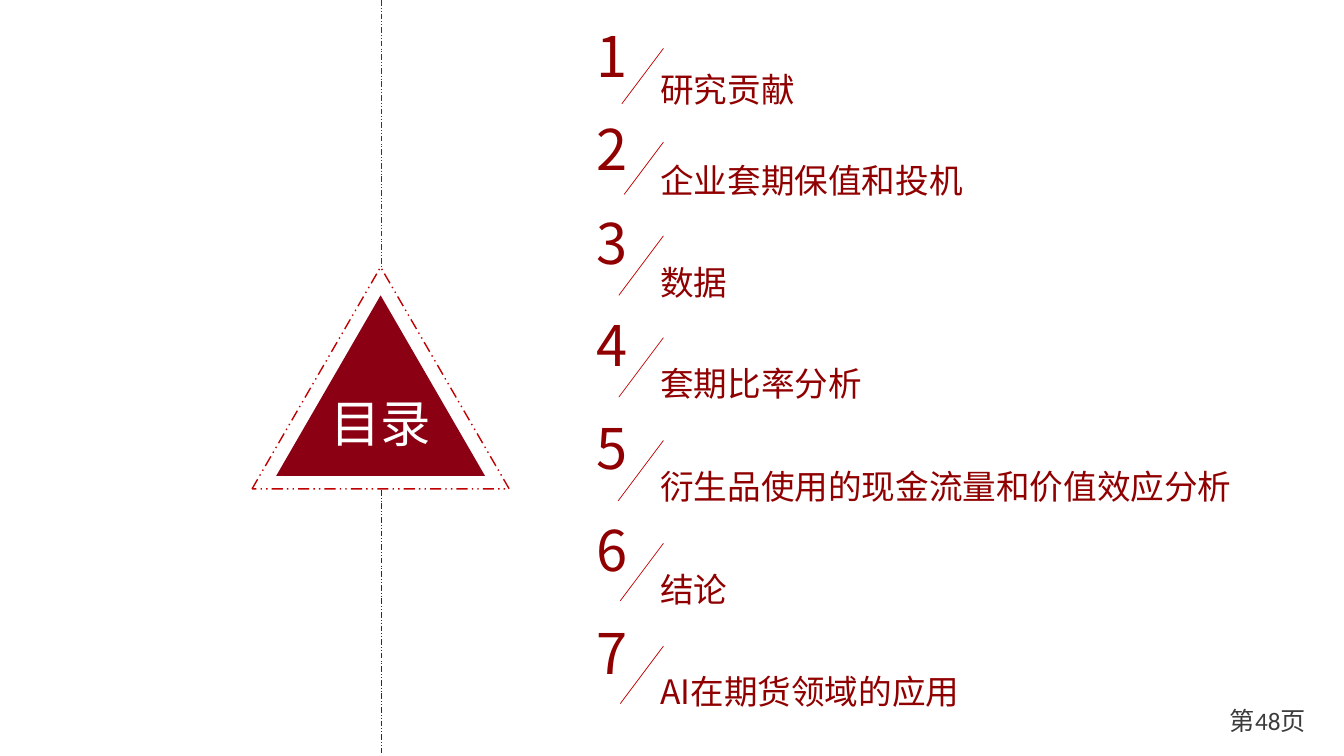
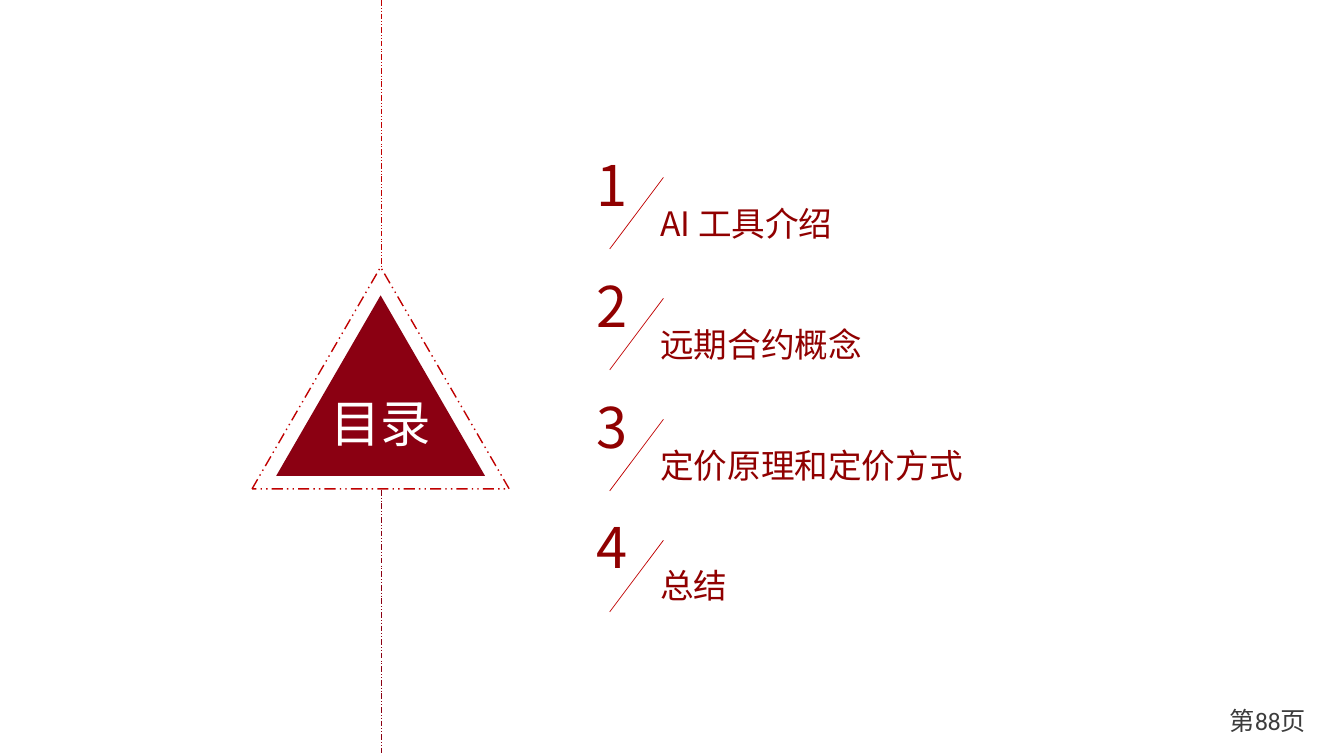
from dataclasses import dataclass

import lxml.etree
import pptx
import pptx.dml.color
import pptx.enum.dml
import pptx.enum.shapes
import pptx.enum.text
import pptx.oxml.ns
import pptx.util

Inches = pptx.util.Inches
Align = pptx.enum.text.PP_ALIGN
Anchor = pptx.enum.text.MSO_ANCHOR
LONG_DASH = pptx.enum.dml.MSO_LINE.DASH_DOT_DOT

CJK_FONT = "Noto Sans CJK SC"
DARK_RED = "8B0012"
BRIGHT_RED = "C00000"
TEXT_RED = "900000"
GREY = "3C3C3C"
WHITE = "FFFFFF"

TITLE_STYLE = {"size": 36, "name": CJK_FONT, "color": WHITE}
NUMBER_STYLE = {"size": 40, "name": CJK_FONT, "color": TEXT_RED}
LABEL_STYLE = {"size": 24, "name": CJK_FONT, "color": TEXT_RED}
PAGE_STYLE = {"size": 18, "name": "Calibri", "color": GREY}

AXIS_X = 3.78
SLASH_RIGHT = 6.58
SLASH_DROP = 0.32  # from the top of the number box to the top of the slash
SLASH_SLOPE = 0.75  # width of a slash for each inch of height


@dataclass
class Entry:
    text: str
    number_top: float
    label_top: float
    slash_height: float
    label_width: float = 4.64


def rgb(value):
    return pptx.dml.color.RGBColor.from_string(value)


def write_text(shape, text, style, align, anchor):
    frame = shape.text_frame
    frame.word_wrap = True
    frame.vertical_anchor = anchor
    paragraph = frame.paragraphs[0]
    paragraph.alignment = align
    run = paragraph.add_run()
    run.text = text
    values = {"size": pptx.util.Pt(style["size"]), "name": style["name"]}
    for attribute, value in values.items():
        setattr(run.font, attribute, value)
    run.font.color.rgb = rgb(style["color"])
    east_asian = lxml.etree.SubElement(
        run._r.get_or_add_rPr(), pptx.oxml.ns.qn("a:ea"))
    east_asian.set("typeface", CJK_FONT)


def add_text(slide, box, text, style, align=Align.LEFT, anchor=Anchor.TOP):
    shape = slide.shapes.add_textbox(*map(Inches, box))
    write_text(shape, text, style, align, anchor)
    return shape


def style_line(line, color, width, dash=None):
    line.color.rgb = rgb(color)
    line.width = pptx.util.Pt(width)
    if dash:
        line.dash_style = dash


def add_line(slide, start, end, color, dash=None):
    connector = slide.shapes.add_connector(
        pptx.enum.shapes.MSO_CONNECTOR.STRAIGHT, *map(Inches, start + end))
    style_line(connector.line, color, 0.5, dash)
    lxml.etree.SubElement(
        connector._element.spPr, pptx.oxml.ns.qn("a:effectLst"))


def add_triangle(slide, box):
    shape = slide.shapes.add_shape(
        pptx.enum.shapes.MSO_SHAPE.ISOSCELES_TRIANGLE, *map(Inches, box))
    shape.shadow.inherit = False
    return shape


def add_title_emblem(slide):
    """Draw the titled triangle, its dashed frame and the vertical axis."""
    triangle = add_triangle(slide, (2.74, 2.93, 2.07, 1.79))
    triangle.fill.solid()
    triangle.fill.fore_color.rgb = rgb(DARK_RED)
    triangle.line.fill.background()
    margins = {"left": 0, "top": 0, "right": 0, "bottom": 0.16}
    for side, margin in margins.items():
        setattr(triangle.text_frame, f"margin_{side}", Inches(margin))
    write_text(triangle, "目录", TITLE_STYLE, Align.CENTER, Anchor.MIDDLE)

    frame = add_triangle(slide, (2.5, 2.65, 2.55, 2.2))
    frame.fill.background()
    style_line(frame.line, BRIGHT_RED, 1, LONG_DASH)

    add_line(slide, (AXIS_X, 0), (AXIS_X, 2.65), BRIGHT_RED, LONG_DASH)
    add_line(slide, (AXIS_X, 4.86), (AXIS_X, 7.5), DARK_RED, LONG_DASH)


def add_entry(slide, number, entry):
    grow = pptx.enum.text.MSO_AUTO_SIZE.SHAPE_TO_FIT_TEXT
    label = add_text(slide, (6.45, entry.label_top, entry.label_width, 0.5),
                     entry.text, LABEL_STYLE)
    label.text_frame.auto_size = grow
    top = entry.number_top + SLASH_DROP
    left = SLASH_RIGHT - SLASH_SLOPE * entry.slash_height
    add_line(slide, (SLASH_RIGHT, top), (left, top + entry.slash_height),
             BRIGHT_RED)
    digit = add_text(slide, (5.82, entry.number_top, 0.42, 0.77),
                     str(number), NUMBER_STYLE)
    digit.text_frame.auto_size = grow


def add_contents_slide(presentation, entries, page):
    slide = presentation.slides.add_slide(presentation.slide_layouts[6])
    add_title_emblem(slide)
    for number, entry in enumerate(entries, 1):
        add_entry(slide, number, entry)
    add_text(slide, (11.48, 6.95, 1.57, 0.4), f"第{page}页", PAGE_STYLE,
             Align.RIGHT, Anchor.MIDDLE)


def evenly_spaced(texts, top, pitch):
    return [Entry(text, top + row * pitch, top + row * pitch + 0.52, 0.71)
            for row, text in enumerate(texts)]


def main():
    presentation = pptx.Presentation()
    presentation.slide_width = Inches(13.33)
    presentation.slide_height = Inches(7.5)

    research_entries = [
        Entry("研究贡献", 0.16, 0.63, 0.55),
        Entry("企业套期保值和投机", 1.09, 1.54, 0.52),
        Entry("数据", 2.02, 2.55, 0.59),
        Entry("套期比率分析", 3.03, 3.55, 0.59),
        Entry("衍生品使用的现金流量和价值效应分析", 4.05, 4.57, 0.6, 6.03),
        Entry("结论", 5.07, 5.59, 0.57),
        Entry("AI在期货领域的应用", 6.09, 6.61, 0.57),
    ]
    add_contents_slide(presentation, research_entries, 48)

    pricing_entries = evenly_spaced(
        ["AI 工具介绍", "远期合约概念", "定价原理和定价方式", "总结"], 1.44, 1.2)
    add_contents_slide(presentation, pricing_entries, 88)

    presentation.save("out.pptx")


if __name__ == "__main__":
    main()
